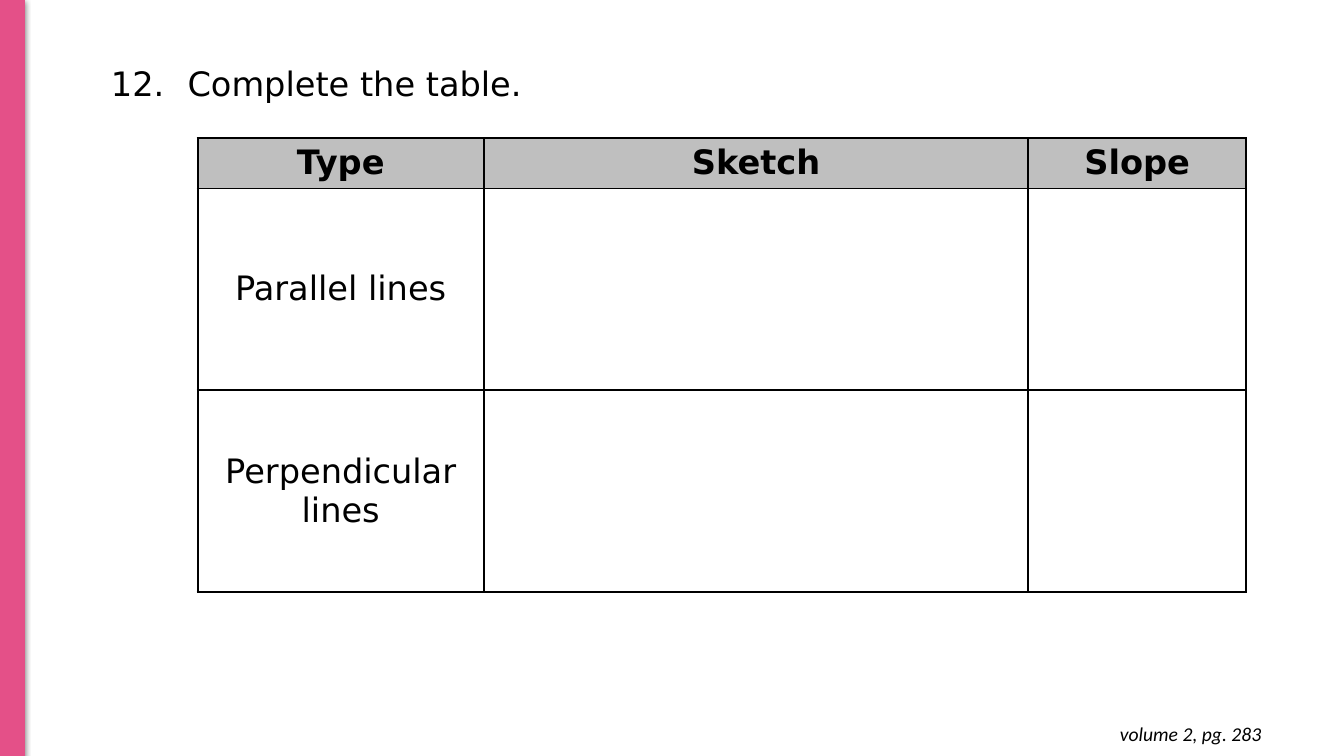
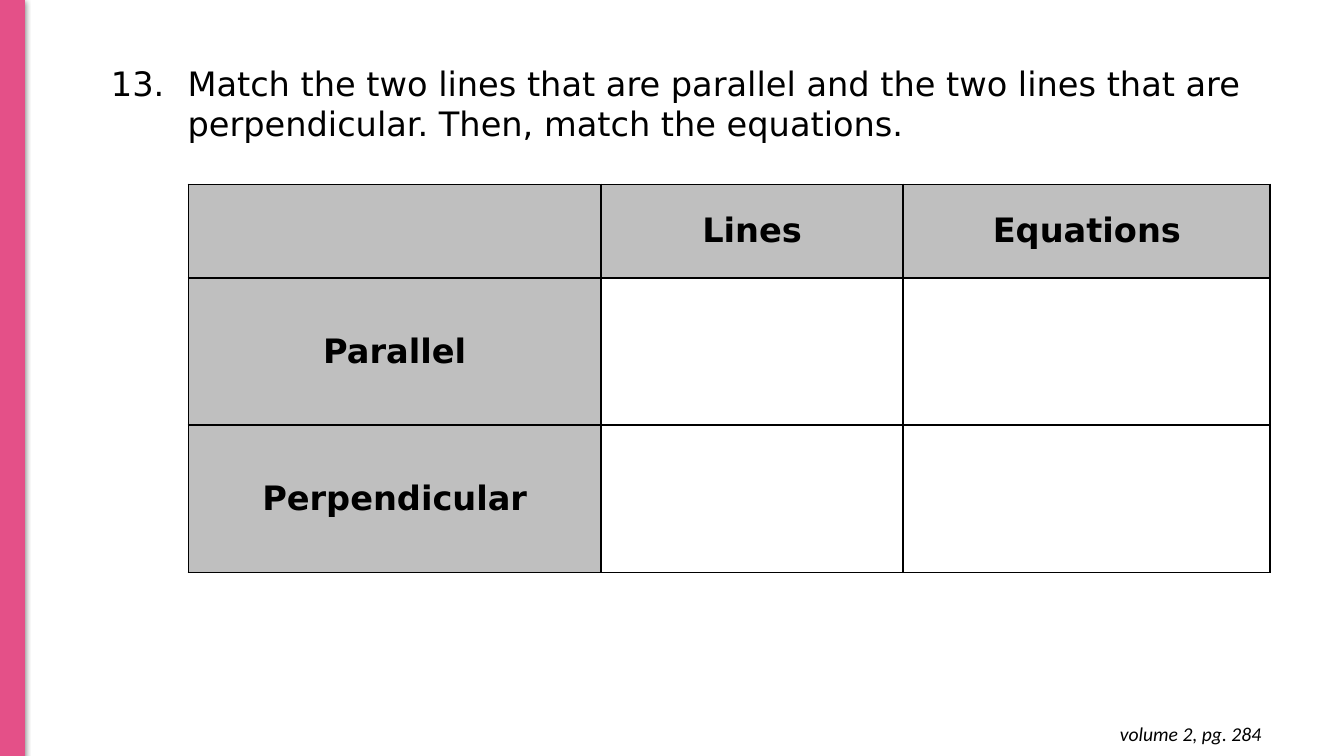
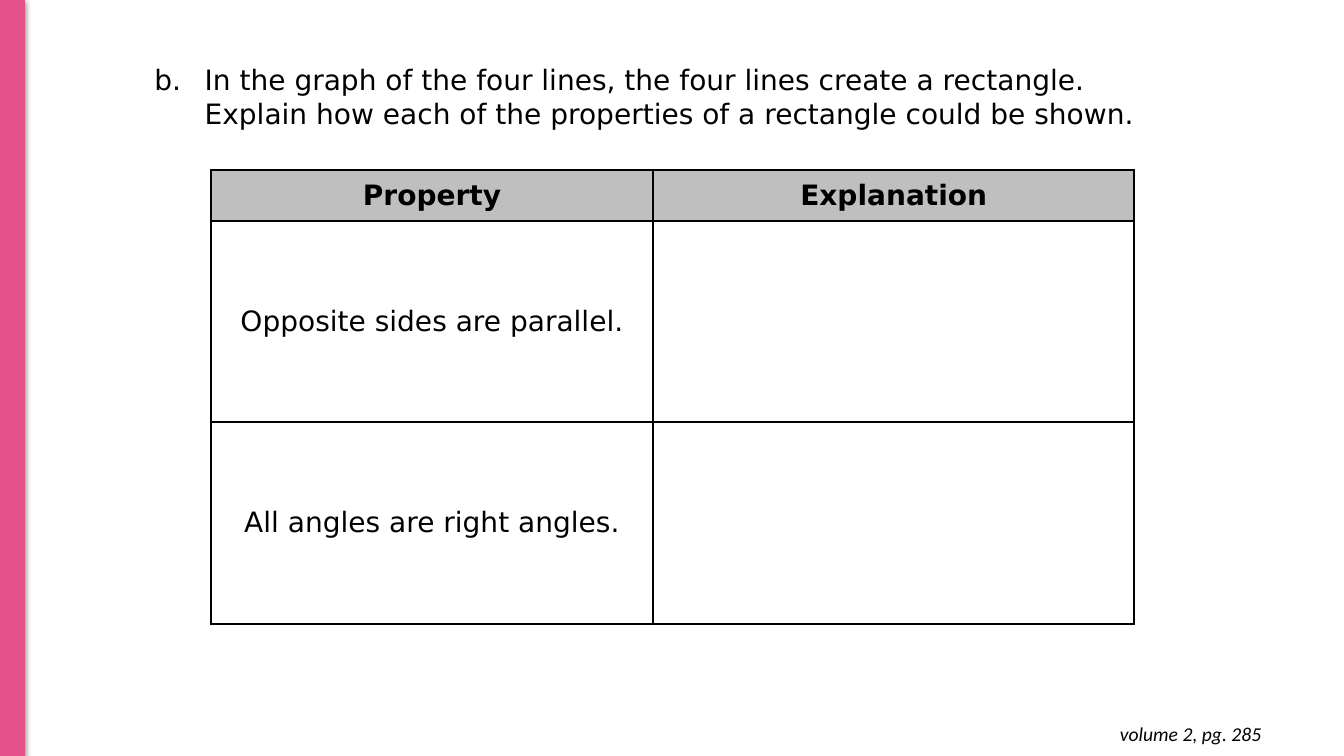
from lxml import etree
from pptx import Presentation
from pptx.dml.color import RGBColor
from pptx.enum.shapes import MSO_SHAPE
from pptx.enum.text import MSO_ANCHOR, MSO_AUTO_SIZE, PP_ALIGN
from pptx.oxml.ns import qn
from pptx.util import Inches, Pt

# Shared style
PINK = RGBColor(0xE4, 0x50, 0x88)
GREY = RGBColor(0xBF, 0xBF, 0xBF)
BLACK = RGBColor(0, 0, 0)
BODY_FONT = "DejaVu Sans"
FOOTER_FONT = "Calibri"
BORDER_WIDTH = Pt(1.5)

RECTANGLE = MSO_SHAPE.RECTANGLE
TOP, MIDDLE = MSO_ANCHOR.TOP, MSO_ANCHOR.MIDDLE
LEFT, CENTER, RIGHT = PP_ALIGN.LEFT, PP_ALIGN.CENTER, PP_ALIGN.RIGHT
GROW = MSO_AUTO_SIZE.SHAPE_TO_FIT_TEXT


def add_element(parent, tag, **attributes):
    values = {name: str(value) for name, value in attributes.items()}
    return etree.SubElement(parent, qn(tag), values)


def add_color(parent, color, alpha=None):
    color_element = add_element(parent, "a:srgbClr", val=color)
    if alpha is not None:
        add_element(color_element, "a:alpha", val=alpha * 1000)


def write_text(frame, text, size=24, font=BODY_FONT, bold=False, italic=False,
               align=LEFT, anchor=TOP):
    """Fill a text frame with one formatted paragraph and return it."""
    frame.word_wrap = True
    frame.vertical_anchor = anchor
    paragraph = frame.paragraphs[0]
    paragraph.text = text
    paragraph.alignment = align
    for run in paragraph.runs:
        run.font.name = font
        run.font.size = Pt(size)
        run.font.bold = bold
        run.font.italic = italic
        run.font.color.rgb = BLACK
    # Line breaks need the text size too, or they stretch the line
    for line_break in paragraph._p.findall(qn("a:br")):
        add_element(line_break, "a:rPr", sz=size * 100)
    return paragraph


def add_side_band(slide):
    band = slide.shapes.add_shape(RECTANGLE, 0, 0, Inches(0.24), Inches(7.5))
    band.fill.solid()
    band.fill.fore_color.rgb = PINK
    band.line.color.rgb = PINK
    band.line.width = Pt(0.75)
    band.shadow.inherit = False
    effects = band._element.spPr.find(qn("a:effectLst"))
    shadow = add_element(effects, "a:outerShdw", blurRad=Pt(4.5), dist=Pt(1.5),
                         dir=90 * 60000, algn="t", rotWithShape=0)
    add_color(shadow, BLACK, alpha=50)


def add_footer(slide, page):
    box = slide.shapes.add_textbox(Inches(9.73), Inches(7.06), Inches(2.88), Inches(0.44))
    frame = box.text_frame
    frame.margin_top = frame.margin_bottom = Inches(0.1)
    write_text(frame, f"volume 2, pg. {page}", size=14, font=FOOTER_FONT,
               italic=True, align=RIGHT)
    frame.auto_size = GROW


def add_question(slide, text, height, start, numbering="arabicPeriod",
                 indent=0.76, hanging=0.76, size=24):
    """Place the numbered question in the title placeholder."""
    title = slide.shapes.title
    title.left, title.top = Inches(1), Inches(0.57)
    title.width, title.height = Inches(11.5), Inches(height)
    paragraph = write_text(title.text_frame, text, size=size)
    title.text_frame.auto_size = GROW
    properties = paragraph._p.get_or_add_pPr()
    properties.set("marL", str(Inches(indent)))
    properties.set("indent", str(-Inches(hanging)))
    add_color(add_element(properties, "a:buClr"), BLACK)
    add_element(properties, "a:buAutoNum", type=numbering, startAt=start)


def add_borders(cell):
    properties = cell._tc.get_or_add_tcPr()
    for side in ("a:lnL", "a:lnR", "a:lnT", "a:lnB"):
        line = add_element(properties, side, w=BORDER_WIDTH)
        add_color(add_element(line, "a:solidFill"), BLACK)


def add_answer_table(slide, left, top, widths, heights, texts, size=24,
                     margin=0.07, label_column=False):
    """Add a bordered table whose header row, and maybe label column, is grey."""
    frame = slide.shapes.add_table(
        len(heights), len(widths), Inches(left), Inches(top),
        Inches(sum(widths)), Inches(sum(heights)))
    table = frame.table
    table.first_row = table.horz_banding = False
    for column, width in zip(table.columns, widths):
        column.width = Inches(width)
    for row, height in zip(table.rows, heights):
        row.height = Inches(height)
    for row_index, row_texts in enumerate(texts):
        for column_index, text in enumerate(row_texts):
            cell = table.cell(row_index, column_index)
            is_header = row_index == 0 or (label_column and column_index == 0)
            add_borders(cell)
            if is_header:
                cell.fill.solid()
                cell.fill.fore_color.rgb = GREY
            else:
                cell.fill.background()
            cell.margin_left = cell.margin_right = Inches(margin)
            cell.margin_top = cell.margin_bottom = 0
            cell.vertical_anchor = MIDDLE
            if text:
                write_text(cell.text_frame, text, size=size, bold=is_header,
                           align=CENTER, anchor=MIDDLE)


def add_page(presentation, page):
    slide = presentation.slides.add_slide(presentation.slide_layouts[5])
    add_side_band(slide)
    add_footer(slide, page)
    return slide


def main():
    presentation = Presentation()
    presentation.slide_width = Inches(13.33)
    presentation.slide_height = Inches(7.5)

    # Question 12: types of line pairs
    slide = add_page(presentation, 283)
    add_question(slide, "Complete the table.", height=0.5, start=12)
    add_answer_table(slide, 1.96, 1.37, [2.84, 5.4, 2.16], [0.5, 2, 2], [
        ["Type", "Sketch", "Slope"],
        ["Parallel lines", "", ""],
        ["Perpendicular lines", "", ""],
    ])

    # Question 13: matching lines and equations
    slide = add_page(presentation, 284)
    add_question(slide, "Match the two lines that are parallel and the two lines that are "
                 "perpendicular. Then, match the equations.", height=0.91, start=13)
    add_answer_table(slide, 1.87, 1.83, [4.09, 3, 3.64], [0.93, 1.46, 1.46], [
        ["", "Lines", "Equations"],
        ["Parallel", "", ""],
        ["Perpendicular", "", ""],
    ], margin=0.06, label_column=True)

    # Question 13b: properties of a rectangle
    slide = add_page(presentation, 285)
    add_question(slide, "In the graph of the four lines, the four lines create a rectangle.\n"
                 "Explain how each of the properties of a rectangle could be shown.",
                 height=0.77, start=2, numbering="alphaLcPeriod",
                 indent=0.93, hanging=0.5, size=20)
    add_answer_table(slide, 2.09, 1.69, [4.39, 4.77], [0.5, 2, 2], [
        ["Property", "Explanation"],
        ["Opposite sides are parallel.", ""],
        ["All angles are right angles.", ""],
    ], size=20, margin=0.04)

    presentation.save("out.pptx")


if __name__ == "__main__":
    main()
